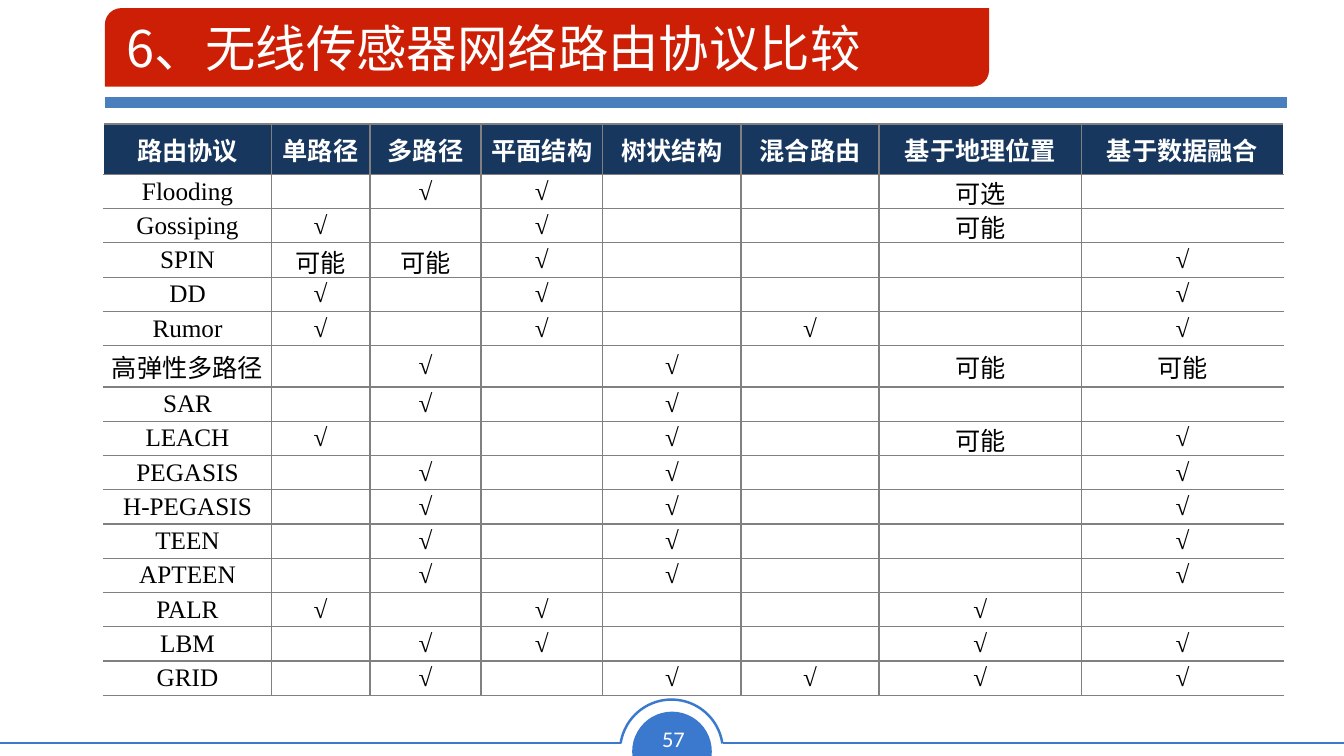
"""Build a slide comparing the routing protocols of wireless sensor networks."""
from dataclasses import dataclass

from lxml.etree import SubElement
from pptx import Presentation
from pptx.dml.color import RGBColor
from pptx.enum.shapes import MSO_CONNECTOR, MSO_SHAPE
from pptx.enum.text import MSO_ANCHOR, PP_ALIGN
from pptx.oxml.ns import qn
from pptx.util import Emu, Pt


@dataclass(frozen=True)
class Theme:
    blue: str = "3B79CE"
    bar: str = "4B7EBC"
    red: str = "CD1F06"
    navy: str = "17375E"
    grey: str = "808080"
    white: str = "FFFFFF"
    black: str = "000000"
    cjk: str = "Noto Sans CJK SC"
    serif: str = "Times New Roman"
    sans: str = "Calibri"
    title_size: int = 36
    table_size: int = 18
    page_size: int = 16


@dataclass(frozen=True)
class Box:
    x: int
    y: int
    w: int
    h: int


@dataclass(frozen=True)
class Preset:
    kind: MSO_SHAPE
    box: Box
    adjustments: tuple[float, ...]
    fill: str | None = None
    line: str | None = None
    rotation: float = 0


@dataclass(frozen=True)
class Rule:
    x1: int
    x2: int
    y: int
    color: str
    width: float


@dataclass(frozen=True)
class Label:
    text: str
    box: Box
    font: str
    size: int
    align: PP_ALIGN
    wrap: bool


T = Theme()
PX = 9144
THIN = 1.77
CHECK = "√"

PAGE_MARK = [
    Preset(MSO_SHAPE.CHORD, Box(627, 706, 79, 79), (35.77, 153.29), fill=T.blue, rotation=112.4),
    Preset(MSO_SHAPE.ARC, Box(615, 694, 102, 102), (113.17, 210.98), line=T.blue),
]
BANNER = Preset(MSO_SHAPE.ROUND_2_DIAG_RECTANGLE, Box(104, 8, 877, 78), (0.21, 0), fill=T.red)
RULES = [
    Rule(717, 1333, 737, T.blue, THIN),
    Rule(0, 616, 737, T.blue, THIN),
    Rule(104, 1276, 102, T.bar, 8),
]
LABELS = [
    Label("57", Box(645, 714, 46, 37), T.sans, T.page_size, PP_ALIGN.CENTER, False),
    Label("6、无线传感器网络路由协议比较", Box(116, 10, 1157, 74), T.cjk, T.title_size,
          PP_ALIGN.LEFT, True),
]

TABLE_BOX = Box(103, 123, 1170, 567)
COLUMN_WIDTHS = [166, 98, 110, 121, 137, 137, 201, 200]
HEADER_HEIGHT, ROW_HEIGHT, TALL_HEIGHT = 50, 34, 41
TALL_ROW = "高弹性多路径"
HEADER = ["路由协议", "单路径", "多路径", "平面结构", "树状结构", "混合路由",
          "基于地理位置", "基于数据融合"]
PROTOCOLS = [
    ["Flooding", "", CHECK, CHECK, "", "", "可选", ""],
    ["Gossiping", CHECK, "", CHECK, "", "", "可能", ""],
    ["SPIN", "可能", "可能", CHECK, "", "", "", CHECK],
    ["DD", CHECK, "", CHECK, "", "", "", CHECK],
    ["Rumor", CHECK, "", CHECK, "", CHECK, "", CHECK],
    [TALL_ROW, "", CHECK, "", CHECK, "", "可能", "可能"],
    ["SAR", "", CHECK, "", CHECK, "", "", ""],
    ["LEACH", CHECK, "", "", CHECK, "", "可能", CHECK],
    ["PEGASIS", "", CHECK, "", CHECK, "", "", CHECK],
    ["H-PEGASIS", "", CHECK, "", CHECK, "", "", CHECK],
    ["TEEN", "", CHECK, "", CHECK, "", "", CHECK],
    ["APTEEN", "", CHECK, "", CHECK, "", "", CHECK],
    ["PALR", CHECK, "", CHECK, "", "", CHECK, ""],
    ["LBM", "", CHECK, CHECK, "", "", CHECK, CHECK],
    ["GRID", "", CHECK, "", CHECK, CHECK, CHECK, CHECK],
]


def px(n: int) -> Emu:
    """Turn px into EMU."""
    return Emu(n * PX)


def place(box: Box) -> tuple[Emu, Emu, Emu, Emu]:
    """Return the box as left, top, width and height in EMU."""
    return px(box.x), px(box.y), px(box.w), px(box.h)


def rgb(color: str) -> RGBColor:
    """Return a colour object for a hex string."""
    return RGBColor.from_string(color)


def style_text(p, font: str, size: int, color: str, align: PP_ALIGN, bold: bool = False) -> None:
    """Align a paragraph and format its runs."""
    p.alignment = align
    for r in p.runs:
        r.font.name, r.font.size, r.font.bold = font, Pt(size), bold
        r.font.color.rgb = rgb(color)
        if r.text != CHECK:
            SubElement(r.font._element, qn("a:ea"), typeface=T.cjk)


def draw_preset(shapes, item: Preset) -> None:
    """Draw one preset shape."""
    s = shapes.add_shape(item.kind, *place(item.box))
    s.shadow.inherit = False
    s.rotation = item.rotation
    for i, value in enumerate(item.adjustments):
        s.adjustments[i] = value
    if item.fill:
        s.fill.solid()
        s.fill.fore_color.rgb = rgb(item.fill)
    else:
        s.fill.background()
    if item.line:
        s.line.color.rgb, s.line.width = rgb(item.line), Pt(THIN)
    else:
        s.line.fill.background()


def draw_rule(shapes, rule: Rule) -> None:
    """Draw one horizontal line."""
    s = shapes.add_connector(MSO_CONNECTOR.STRAIGHT, px(rule.x1), px(rule.y), px(rule.x2), px(rule.y))
    s.line.color.rgb, s.line.width = rgb(rule.color), Pt(rule.width)
    SubElement(s._element.spPr, qn("a:effectLst"))


def draw_label(shapes, label: Label) -> None:
    """Draw one white text box."""
    tf = shapes.add_textbox(*place(label.box)).text_frame
    tf.text, tf.word_wrap, tf.vertical_anchor = label.text, label.wrap, MSO_ANCHOR.MIDDLE
    style_text(tf.paragraphs[0], label.font, label.size, T.white, label.align)


def draw_cell(cell, text: str, header: bool, edges: list[str]) -> None:
    """Fill, border and label one table cell."""
    cell.margin_left = cell.margin_right = px(7)
    cell.margin_top = cell.margin_bottom = 0
    cell.vertical_anchor = MSO_ANCHOR.MIDDLE
    for edge in edges:
        ln = SubElement(cell._tc.get_or_add_tcPr(), qn(f"a:{edge}"), w=str(Pt(1)))
        SubElement(SubElement(ln, qn("a:solidFill")), qn("a:srgbClr"), val=T.grey)
    if header:
        cell.fill.solid()
        cell.fill.fore_color.rgb = rgb(T.navy)
    else:
        cell.fill.background()
    cell.text_frame.text = text
    style_text(cell.text_frame.paragraphs[0], T.cjk if header else T.serif, T.table_size,
               T.white if header else T.black, PP_ALIGN.CENTER, header)


def draw_table(shapes) -> None:
    """Draw the protocol table, open at its left and right sides."""
    rows = [HEADER, *PROTOCOLS]
    table = shapes.add_table(len(rows), len(HEADER), *place(TABLE_BOX)).table
    table.first_row = table.horz_banding = False
    for column, width in zip(table.columns, COLUMN_WIDTHS):
        column.width = px(width)
    for i, row in enumerate(rows):
        body_height = TALL_HEIGHT if row[0] == TALL_ROW else ROW_HEIGHT
        table.rows[i].height = px(body_height if i else HEADER_HEIGHT)
        for j, text in enumerate(row):
            sides = ["lnL"] * (j > 0) + ["lnR"] * (j < len(row) - 1)
            draw_cell(table.cell(i, j), text, i == 0, [*sides, "lnT", "lnB"])


def main() -> None:
    """Build and save the slide."""
    prs = Presentation()
    prs.slide_width, prs.slide_height = px(1333), px(750)
    shapes = prs.slides.add_slide(prs.slide_layouts[6]).shapes
    for item in [*PAGE_MARK, BANNER]:
        draw_preset(shapes, item)
    for rule in RULES:
        draw_rule(shapes, rule)
    for label in LABELS:
        draw_label(shapes, label)
    draw_table(shapes)
    prs.save("out.pptx")


if __name__ == "__main__":
    main()
